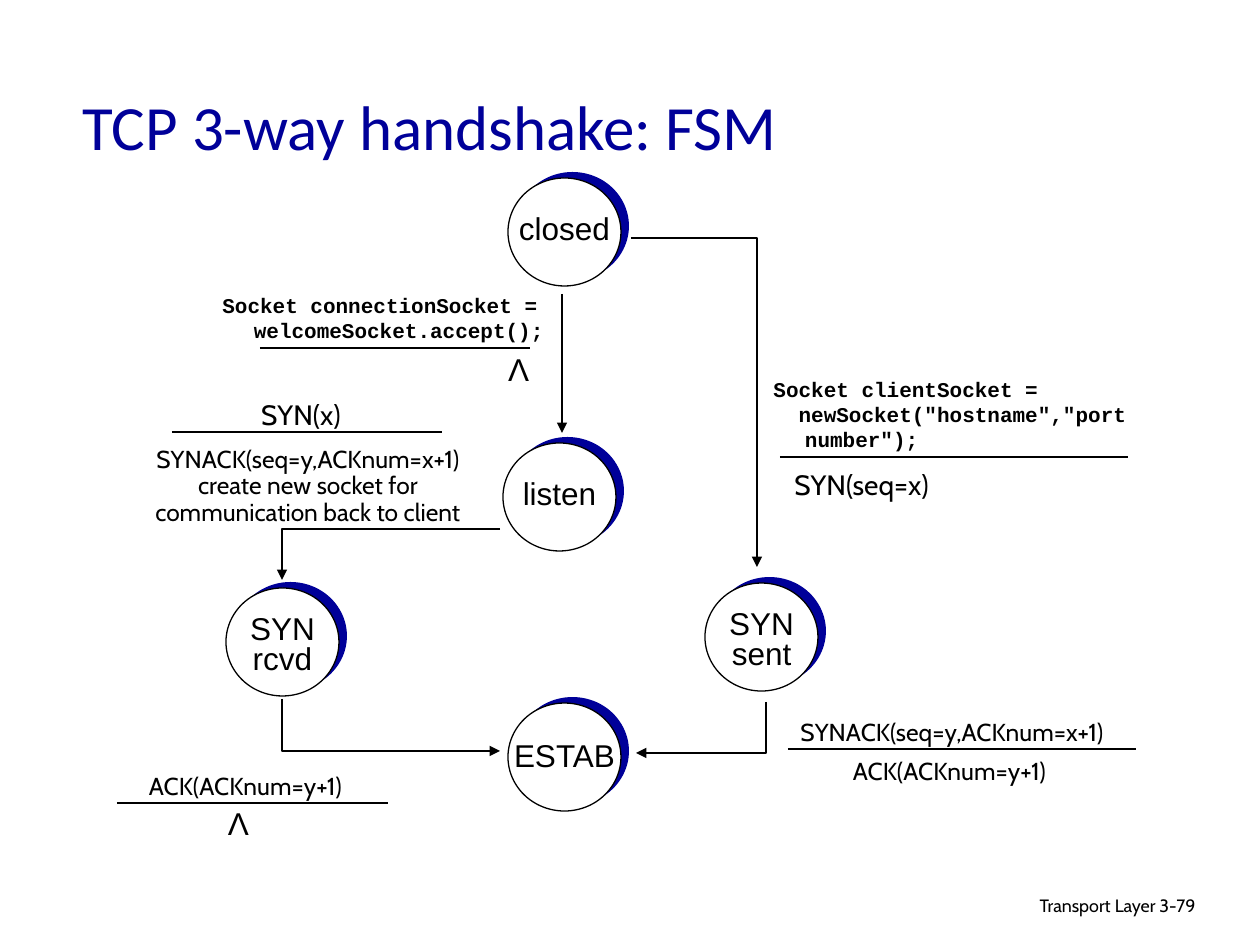
from dataclasses import dataclass

from lxml import etree
from pptx import Presentation
from pptx import util as u
from pptx.dml.color import RGBColor
from pptx.enum import shapes, text
from pptx.oxml.ns import qn

PX = 914400 / 126


@dataclass(frozen=True)
class Theme:
    ink: RGBColor = RGBColor(0x00, 0x00, 0x00)
    navy: RGBColor = RGBColor(0x00, 0x00, 0x99)
    paper: RGBColor = RGBColor(0xFF, 0xFF, 0xFF)
    line: float = 0.75
    # Each text style is a font, a size in points and a bold flag.
    title: tuple = ("Calibri", 36, False)
    state: tuple = ("Arial", 18, False)
    code: tuple = ("Courier New", 12, True)
    event: tuple = ("Cabin", 16, False)
    message: tuple = ("Cabin", 14, False)
    footer: tuple = ("Cabin", 10.2, False)


THEME = Theme()
LEFT, CENTER, RIGHT = (text.PP_ALIGN.LEFT, text.PP_ALIGN.CENTER,
                       text.PP_ALIGN.RIGHT)


def px(value):
    return u.Emu(round(value * PX))


def add_text(slide, box, lines, style, align=LEFT, spacing=1.0,
             wrap=False, color=THEME.ink):
    frame = slide.shapes.add_textbox(*map(px, box)).text_frame
    frame.word_wrap = wrap
    frame.text = "\n".join(lines)
    font_name, size, bold = style
    for paragraph in frame.paragraphs:
        paragraph.alignment = align
        paragraph.line_spacing = spacing
        for run in paragraph.runs:
            run.font.name = font_name
            run.font.size = u.Pt(size)
            run.font.bold = bold
            run.font.color.rgb = color
    return frame


def add_code(slide, box, lines):
    """Code whose continuation lines hang by a quarter inch."""
    frame = add_text(slide, box, lines, THEME.code, wrap=True)
    for paragraph in frame.paragraphs:
        properties = paragraph._p.get_or_add_pPr()
        properties.set("marL", str(u.Inches(0.25)))
        properties.set("indent", str(-u.Inches(0.25)))


def add_state(slide, left, top, lines, label_top, spacing=0.8):
    """A white disc over a navy one, with the state's name on it."""
    width, height, label_width = 113, 108, 143
    discs = slide.shapes.add_group_shape().shapes
    for dx, dy, color in ((8, -6, THEME.navy), (0, 0, THEME.paper)):
        disc = discs.add_shape(shapes.MSO_SHAPE.OVAL, px(left + dx),
                               px(top + dy), px(width), px(height))
        disc.shadow.inherit = False
        disc.fill.solid()
        disc.fill.fore_color.rgb = color
        disc.line.fill.background()
    disc.line.color.rgb = THEME.ink
    disc.line.width = u.Pt(THEME.line)
    label_left = left + (width - label_width) // 2
    add_text(slide, (label_left, label_top, label_width, 50), lines,
             THEME.state, CENTER, spacing)


def style_line(shape, arrow):
    shape.line.color.rgb = THEME.ink
    shape.line.width = u.Pt(THEME.line)
    properties = shape.element.spPr
    if arrow:
        etree.SubElement(properties.find(qn("a:ln")), qn("a:tailEnd"),
                         type="triangle")
    etree.SubElement(properties, qn("a:effectLst"))


def add_straight(slide, start, end, arrow=False):
    line = slide.shapes.add_connector(shapes.MSO_CONNECTOR.STRAIGHT,
                                      *map(px, start + end))
    style_line(line, arrow)


def add_bent_arrow(slide, start, corner, end):
    builder = slide.shapes.build_freeform(*start, scale=PX)
    builder.add_line_segments((corner, end), close=False)
    arrow = builder.convert_to_shape()
    arrow.fill.background()
    style_line(arrow, arrow=True)


def add_states(slide):
    add_state(slide, 508, 178, ["closed"], 203, spacing=1.0)
    add_state(slide, 503, 443, ["listen"], 468, spacing=1.0)
    add_state(slide, 226, 588, ["SYN", "rcvd"], 610)
    add_state(slide, 705, 583, ["SYN", "sent"], 605)
    add_state(slide, 508, 703, ["ESTAB"], 737)


def add_arrows(slide):
    add_straight(slide, (562, 294), (562, 433), arrow=True)
    add_bent_arrow(slide, (631, 238), (757, 238), (757, 567))
    add_bent_arrow(slide, (500, 529), (282, 529), (282, 580))
    add_bent_arrow(slide, (282, 699), (282, 751), (500, 751))
    add_bent_arrow(slide, (766, 702), (766, 753), (636, 753))


def add_transition_labels(slide):
    for left, right, y in ((260, 530, 348), (172, 442, 432), (780, 1128, 457),
                           (788, 1136, 749), (117, 388, 803)):
        add_straight(slide, (left, y), (right, y))

    add_code(slide, (210, 286, 355, 63),
             ["Socket connectionSocket = welcomeSocket.accept();"])
    add_code(slide, (761, 370, 398, 88),
             ["Socket clientSocket =",
              '  newSocket("hostname","port number");'])

    for box in ((495, 344, 47, 50), (215, 798, 47, 50)):
        add_text(slide, box, ["Λ"], THEME.state, CENTER)

    for box, event in (((247, 391, 108, 47), "SYN(x)"),
                       ((776, 461, 171, 47), "SYN(seq=x)")):
        add_text(slide, box, [event], THEME.event, CENTER)

    syn_ack, ack = "SYNACK(seq=y,ACKnum=x+1)", "ACK(ACKnum=y+1)"
    for box, lines in (
            ((126, 441, 364, 93), [syn_ack, "create new socket for",
                                   "communication back to client"]),
            ((772, 714, 360, 40), [syn_ack]),
            ((829, 753, 241, 40), [ack]),
            ((125, 768, 241, 40), [ack])):
        add_text(slide, box, lines, THEME.message, CENTER, 0.9)


def add_title_and_footer(slide):
    title = add_text(slide, (70, 67, 738, 117), ["TCP 3-way handshake: FSM"],
                     THEME.title, wrap=True, color=THEME.navy)
    title.vertical_anchor = text.MSO_ANCHOR.MIDDLE
    add_text(slide, (769, 891, 399, 38), ["Transport Layer"], THEME.footer,
             RIGHT, 0.9, wrap=True)
    add_text(slide, (1147, 891, 93, 38), ["3-79"], THEME.footer,
             spacing=0.9, wrap=True)


def main():
    deck = Presentation()
    deck.slide_width, deck.slide_height = px(1260), px(945)
    slide = deck.slides.add_slide(deck.slide_layouts[6])
    add_title_and_footer(slide)
    add_states(slide)
    add_arrows(slide)
    add_transition_labels(slide)
    deck.save("out.pptx")


if __name__ == "__main__":
    main()
